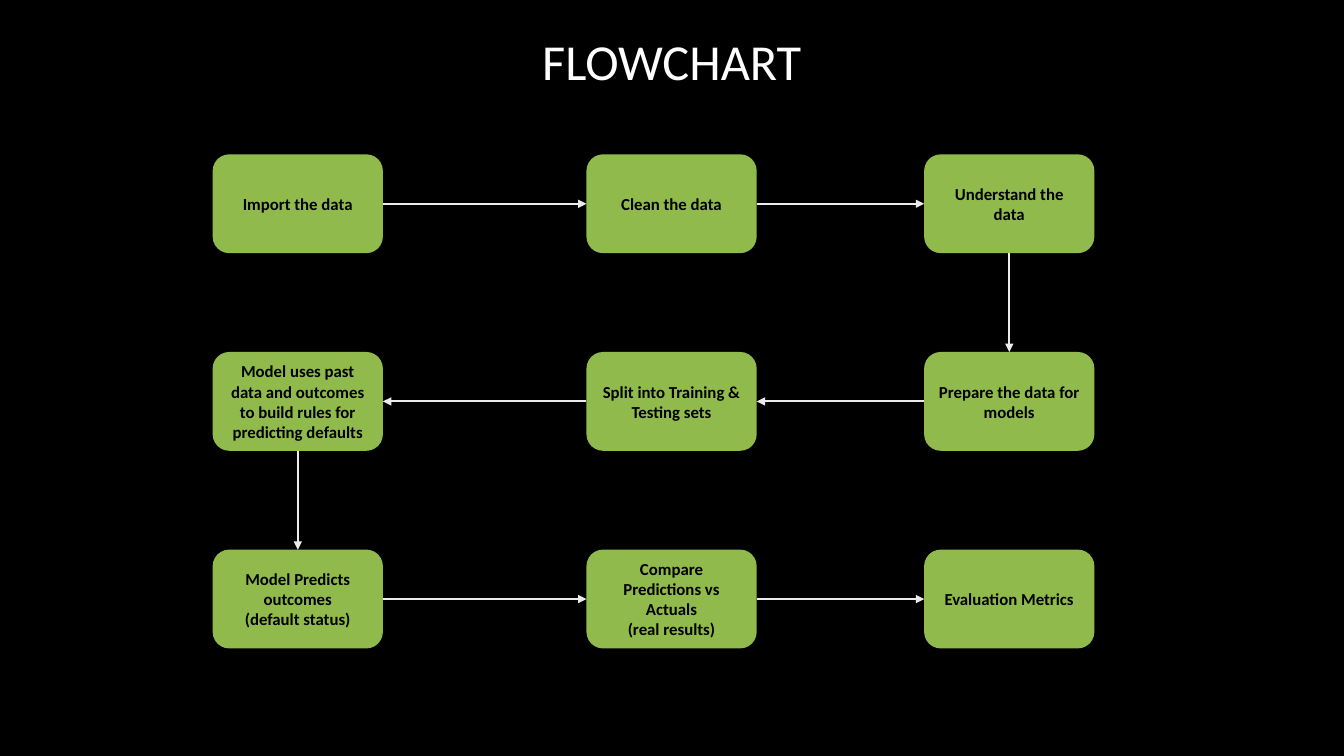
"""Build the flowchart slide of a default-prediction workflow."""
from dataclasses import dataclass
from itertools import pairwise

from lxml.etree import SubElement
from pptx import Presentation
from pptx.dml.color import RGBColor as Rgb
from pptx.enum.shapes import MSO_CONNECTOR as Link, MSO_SHAPE as Kind
from pptx.enum.text import MSO_ANCHOR as Anchor, PP_ALIGN as Align
from pptx.oxml.ns import qn
from pptx.util import Cm, Pt

HUES = {"back": "000000", "title": "FFFFFF", "box": "90BA4C",
        "text": "000000", "line": "EBEBEB"}
COLS = (5.36, 14.78, 23.29)
TOP, PITCH = 3.89, 4.98
WIDE, HIGH = 4.29, 2.49
SITES = {(1, 0): (3, 1), (-1, 0): (1, 3), (0, 1): (2, 0)}


@dataclass(frozen=True)
class Step:
    """A flowchart box and its grid cell."""
    col: int
    row: int
    text: str


STEPS = (
    Step(0, 0, "Import the data"),
    Step(1, 0, "Clean the data"),
    Step(2, 0, "Understand the data"),
    Step(2, 1, "Prepare the data for models"),
    Step(1, 1, "Split into Training & Testing sets"),
    Step(0, 1, "Model uses past data and outcomes to build rules for "
               "predicting defaults"),
    Step(0, 2, "Model Predicts outcomes\n(default status)"),
    Step(1, 2, "Compare Predictions vs Actuals\n(real results)"),
    Step(2, 2, "Evaluation Metrics"),
)


def hue(name: str) -> Rgb:
    """Return the named colour."""
    return Rgb.from_string(HUES[name])


def write(shape, text: str, *, size: float, color: str,
          bold: bool = False, font: str = "Calibri") -> None:
    """Put centred, formatted text in a shape."""
    frame = shape.text_frame
    frame.text = text
    frame.word_wrap = True
    frame.vertical_anchor = Anchor.MIDDLE
    for para in frame.paragraphs:
        para.alignment = Align.CENTER
        for run in para.runs:
            run.font.name, run.font.size = font, Pt(size)
            run.font.bold = bold
            run.font.color.rgb = hue(color)


def draw(slide, step: Step):
    """Draw one step as a rounded box."""
    box = slide.shapes.add_shape(
        Kind.FLOWCHART_ALTERNATE_PROCESS, Cm(COLS[step.col]),
        Cm(TOP + step.row * PITCH), Cm(WIDE), Cm(HIGH))
    box.shadow.inherit = False
    box.fill.solid()
    box.fill.fore_color.rgb = hue("box")
    box.line.fill.background()
    write(box, step.text, size=12, color="text", bold=True)
    return box


def join(slide, start, end, sites: tuple[int, int]) -> None:
    """Join two boxes with an arrow."""
    link = slide.shapes.add_connector(Link.STRAIGHT, 0, 0, 0, 0)
    link.begin_connect(start, sites[0])
    link.end_connect(end, sites[1])
    link.line.color.rgb = hue("line")
    link.line.width = Pt(1.5)
    SubElement(link.line._get_or_add_ln(), qn("a:tailEnd"), type="triangle")
    SubElement(link._element.spPr, qn("a:effectLst"))


def main() -> None:
    """Build and save the slide."""
    deck = Presentation()
    deck.slide_width, deck.slide_height = Cm(33.87), Cm(19.05)
    slide = deck.slides.add_slide(deck.slide_layouts[5])
    slide.background.fill.solid()
    slide.background.fill.fore_color.rgb = hue("back")

    title = slide.shapes.title
    title.left, title.top = Cm(COLS[0]), Cm(0.41)
    title.width, title.height = Cm(23.14), Cm(2.21)
    write(title, "FLOWCHART", size=36, color="title")

    boxes = [draw(slide, step) for step in STEPS]
    for (a, start), (b, end) in pairwise(zip(STEPS, boxes)):
        join(slide, start, end, SITES[b.col - a.col, b.row - a.row])
    deck.save("out.pptx")


if __name__ == "__main__":
    main()
